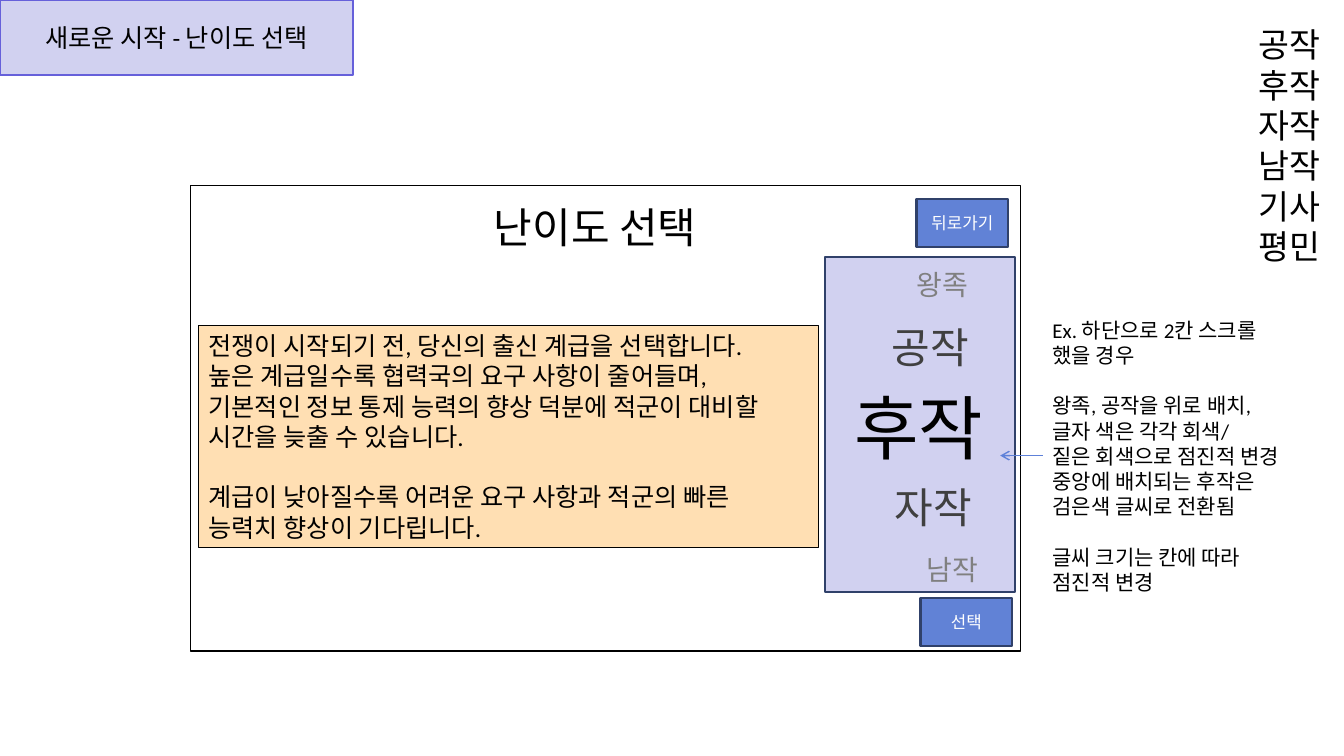
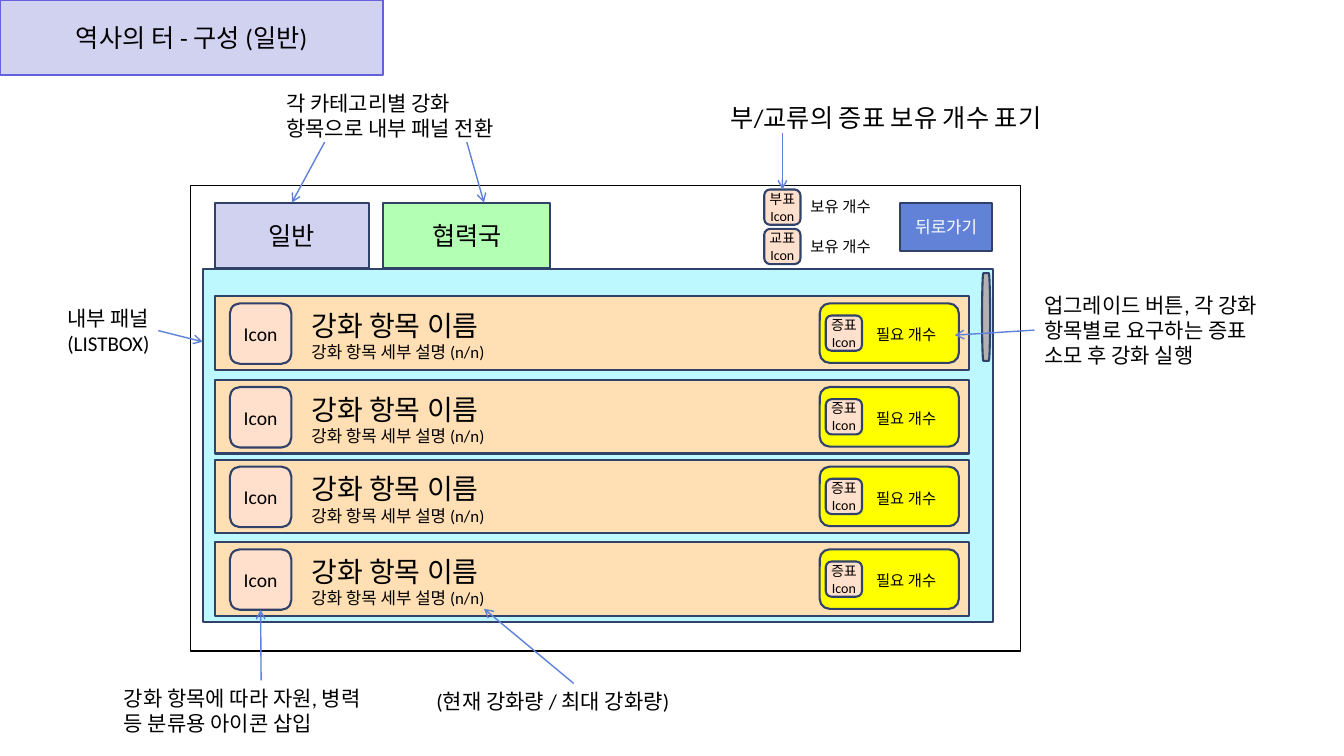
from lxml import etree
from pptx import Presentation
from pptx.dml.color import RGBColor
from pptx.enum.shapes import MSO_CONNECTOR, MSO_SHAPE
from pptx.enum.text import MSO_ANCHOR, MSO_AUTO_SIZE, PP_ALIGN
from pptx.oxml.ns import qn
from pptx.util import Inches, Pt

FONT = "Calibri"
BLACK, WHITE = "000000", "FFFFFF"
NAVY, BLUE, ARROW = "30416A", "6182D6", "5E81D9"
LILAC, VIOLET = "D1D1F0", "6660DA"
PEACH, SKIN, YELLOW = "FFDFB3", "FFE0CC", "FFFF00"
CYAN, GREEN, SILVER = "BDF7FF", "B3FFB3", "B2B2B2"
DARK_GRAY, GRAY = "404040", "808080"

RECT = MSO_SHAPE.RECTANGLE
ROUNDED = MSO_SHAPE.FLOWCHART_ALTERNATE_PROCESS
TOP, LEFT, BOTTOM, RIGHT = range(4)
FRAME = (1.89, 1.84, 8.23, 4.62)


def rgb(color):
    return RGBColor.from_string(color)


def write(tf, text, size, color=BLACK, align=PP_ALIGN.LEFT):
    """One paragraph per line; a blank line becomes space before the next one."""
    p = None
    for group in text.split("\n\n"):
        for i, line in enumerate(group.split("\n")):
            first = p is None
            p = tf.paragraphs[0] if first else tf.add_paragraph()
            p.alignment = align
            if i == 0 and not first:
                p.space_before = Pt(size * 1.2)
            r = p.add_run()
            r.text = line
            r.font.name = FONT
            r.font.size = Pt(size)
            r.font.color.rgb = rgb(color)


def paint(sp, fill, line, width):
    sp.shadow.inherit = False
    if fill:
        sp.fill.solid()
        sp.fill.fore_color.rgb = rgb(fill)
    else:
        sp.fill.background()
    sp.line.color.rgb = rgb(line)
    sp.line.width = Pt(width)


def shape(s, box, fill=None, line=NAVY, width=1.5, kind=RECT,
          text=None, size=18, color=BLACK):
    sp = s.shapes.add_shape(kind, *map(Inches, box))
    paint(sp, fill, line, width)
    if text:
        sp.text_frame.vertical_anchor = MSO_ANCHOR.MIDDLE
        write(sp.text_frame, text, size, color, PP_ALIGN.CENTER)
    return sp


def label(s, box, text, size=15, color=BLACK, align=PP_ALIGN.LEFT, wrap=True):
    sp = s.shapes.add_textbox(*map(Inches, box))
    tf = sp.text_frame
    tf.word_wrap = wrap
    tf.auto_size = MSO_AUTO_SIZE.SHAPE_TO_FIT_TEXT
    write(tf, text, size, color, align)
    return sp


def arrow(s, start, end, source=None, target=None):
    """source and target are (shape, side) pairs to join."""
    c = s.shapes.add_connector(MSO_CONNECTOR.STRAIGHT, *map(Inches, start + end))
    if source:
        c.begin_connect(*source)
    if target:
        c.end_connect(*target)
    c.line.color.rgb = rgb(ARROW)
    c.line.width = Pt(1)
    props = c._element.spPr
    etree.SubElement(props.find(qn("a:ln")), qn("a:tailEnd"), type="arrow")
    etree.SubElement(props, qn("a:effectLst"))
    return c


def new_slide(prs, title, tag_width):
    """Slide with the title in a pentagon tag and the game window's frame."""
    s = prs.slides.add_slide(prs.slide_layouts[5])
    tag = s.shapes.title
    tag.left, tag.top = Inches(0), Inches(0)
    tag.width, tag.height = Inches(tag_width), Inches(0.74)
    geometry = etree.SubElement(tag._element.spPr, qn("a:prstGeom"), prst="homePlate")
    etree.SubElement(geometry, qn("a:avLst"))
    paint(tag, LILAC, VIOLET, 1.5)
    tf = tag.text_frame
    tf.auto_size = MSO_AUTO_SIZE.NONE
    tf.vertical_anchor = MSO_ANCHOR.MIDDLE
    write(tf, title, 18, align=PP_ALIGN.CENTER)
    shape(s, FRAME, line=BLACK, width=1)
    return s


def button(s, x, y, text):
    shape(s, (x, y, 0.91, 0.48), BLUE, text=text, size=12, color=WHITE)


def badge(s, x, y, name):
    sp = shape(s, (x, y, 0.36, 0.35), SKIN, kind=ROUNDED,
               text=f"{name}\nIcon", size=10)
    tf = sp.text_frame
    tf.margin_left = tf.margin_top = tf.margin_right = tf.margin_bottom = 0
    return sp


def rank_wheel(s, x, y):
    shape(s, (x, y, 1.89, 3.32), LILAC)
    ranks = [
        ("왕족", 0.51, 0.05, 1.01, 0.43, 20, GRAY),
        ("공작 ", 0.48, 0.59, 1.14, 0.59, 30, DARK_GRAY),
        ("후작", -0.18, 1.22, 1.85, 0.93, 50, BLACK),
        ("자작 ", 0.51, 2.18, 1.14, 0.59, 30, DARK_GRAY),
        ("남작", 0.51, 2.88, 1.11, 0.43, 20, GRAY),
    ]
    for name, dx, dy, w, h, size, color in ranks:
        label(s, (x + dx, y + dy, w, h), name, size, color, PP_ALIGN.RIGHT)


def upgrade_row(s, x, y):
    """Returns the icon and the cost label, which arrows point at."""
    shape(s, (x, y, 7.48, 0.73), PEACH)
    icon = shape(s, (x + 0.15, y + 0.07, 0.61, 0.6), SKIN, kind=ROUNDED,
                 text="Icon", size=14)
    item = label(s, (x + 0.86, y + 0.07, 2.47, 0.63),
                 "강화 항목 이름\n강화 항목 세부 설명 (n/n)", 20)
    item.text_frame.paragraphs[1].runs[0].font.size = Pt(12)
    shape(s, (x + 6, y + 0.07, 1.38, 0.59), YELLOW, kind=ROUNDED)
    badge(s, x + 6.06, y + 0.19, "증표")
    cost = label(s, (x + 6.46, y + 0.24, 0.88, 0.29), "필요 개수", 11)
    return icon, cost


def difficulty_slide(prs):
    s = new_slide(prs, "새로운 시작 - 난이도 선택", 3.5)
    rank_wheel(s, 8.18, 2.55)
    label(s, (12.05, 0.19, 1.14, 2.49), "공작 후작 자작 남작 기사 평민", 24,
          align=PP_ALIGN.RIGHT)
    label(s, (4.8, 1.95, 2.41, 0.59), "난이도 선택", 30, wrap=False)
    button(s, 9.09, 1.97, "뒤로가기")
    button(s, 9.13, 5.93, "선택")
    story = label(s, (1.97, 3.23, 6.15, 2.2),
                  "전쟁이 시작되기 전, 당신의 출신 계급을 선택합니다.\n"
                  "높은 계급일수록 협력국의 요구 사항이 줄어들며,\n"
                  "기본적인 정보 통제 능력의 향상 덕분에 적군이 대비할\n"
                  "시간을 늦출 수 있습니다.\n\n"
                  "계급이 낮아질수록 어려운 요구 사항과 적군의 빠른\n"
                  "능력치 향상이 기다립니다.", 18, wrap=False)
    story.fill.solid()
    story.fill.fore_color.rgb = rgb(PEACH)
    story.line.color.rgb = rgb(BLACK)
    story.line.width = Pt(0.75)
    note = label(s, (10.34, 3.1, 2.67, 2.84),
                 "Ex. 하단으로 2칸 스크롤\n했을 경우\n\n"
                 "왕족, 공작을 위로 배치,\n글자 색은 각각 회색/\n"
                 "짙은 회색으로 점진적 변경\n중앙에 배치되는 후작은\n"
                 "검은색 글씨로 전환됨\n\n"
                 "글씨 크기는 칸에 따라\n점진적 변경", wrap=False)
    arrow(s, (10.34, 4.52), (9.92, 4.52), source=(note, LEFT))


def upgrade_slide(prs):
    s = new_slide(prs, "역사의 터 - 구성 (일반)", 3.8)
    shape(s, (2.01, 2.67, 7.84, 3.5), CYAN)
    general_tab = shape(s, (2.13, 2.01, 1.53, 0.65), LILAC, text="일반")
    shape(s, (3.8, 2.01, 1.66, 0.65), GREEN, text="협력국")
    button(s, 8.93, 2.01, "뒤로가기")
    rows = [upgrade_row(s, 2.13, y) for y in (2.94, 3.77, 4.56, 5.38)]
    shape(s, (9.74, 2.71, 0.08, 0.87), SILVER, kind=MSO_SHAPE.FLOWCHART_TERMINATOR)

    badges = []
    for name, y in (("부표", 1.88), ("교표", 2.27)):
        badges.append(badge(s, 7.58, y, name))
        label(s, (7.94, y + 0.03, 0.88, 0.28), "보유 개수", 11)

    label(s, (2.74, 0.85, 2.47, 0.59), "각 카테고리별 강화\n항목으로 내부 패널 전환")
    label(s, (0.57, 2.98, 1.17, 0.6), "내부 패널\n(LISTBOX)")
    label(s, (7.15, 0.97, 3.56, 0.4), "부/교류의 증표 보유 개수 표기", 18, wrap=False)
    upgrade_note = label(s, (10.26, 2.85, 2.92, 0.85),
                         "업그레이드 버튼, 각 강화\n항목별로 요구하는 증표\n소모 후 강화 실행")
    icon_note = label(s, (1.13, 6.75, 2.92, 0.6),
                      "강화 항목에 따라 자원, 병력\n등 분류용 아이콘 삽입")
    count_note = label(s, (4.23, 6.78, 2.92, 0.34), "(현재 강화량 / 최대 강화량)")

    first_cost, last_icon = rows[0][1], rows[-1][0]
    arrow(s, (3.22, 1.41), (2.89, 2.01), target=(general_tab, TOP))
    arrow(s, (4.63, 1.41), (4.8, 2.01))
    arrow(s, (1.57, 3.28), (2.01, 3.39))
    arrow(s, (7.76, 1.32), (7.76, 1.88), target=(badges[0], TOP))
    arrow(s, (10.26, 3.27), (9.47, 3.32), (upgrade_note, LEFT), (first_cost, RIGHT))
    arrow(s, (2.59, 6.75), (2.59, 6.04), (icon_note, TOP), (last_icon, BOTTOM))
    arrow(s, (5.69, 6.78), (4.8, 6.04), source=(count_note, TOP))


def main():
    prs = Presentation()
    prs.slide_width, prs.slide_height = Inches(13.33), Inches(7.5)
    difficulty_slide(prs)
    upgrade_slide(prs)
    prs.save("out.pptx")


if __name__ == "__main__":
    main()
